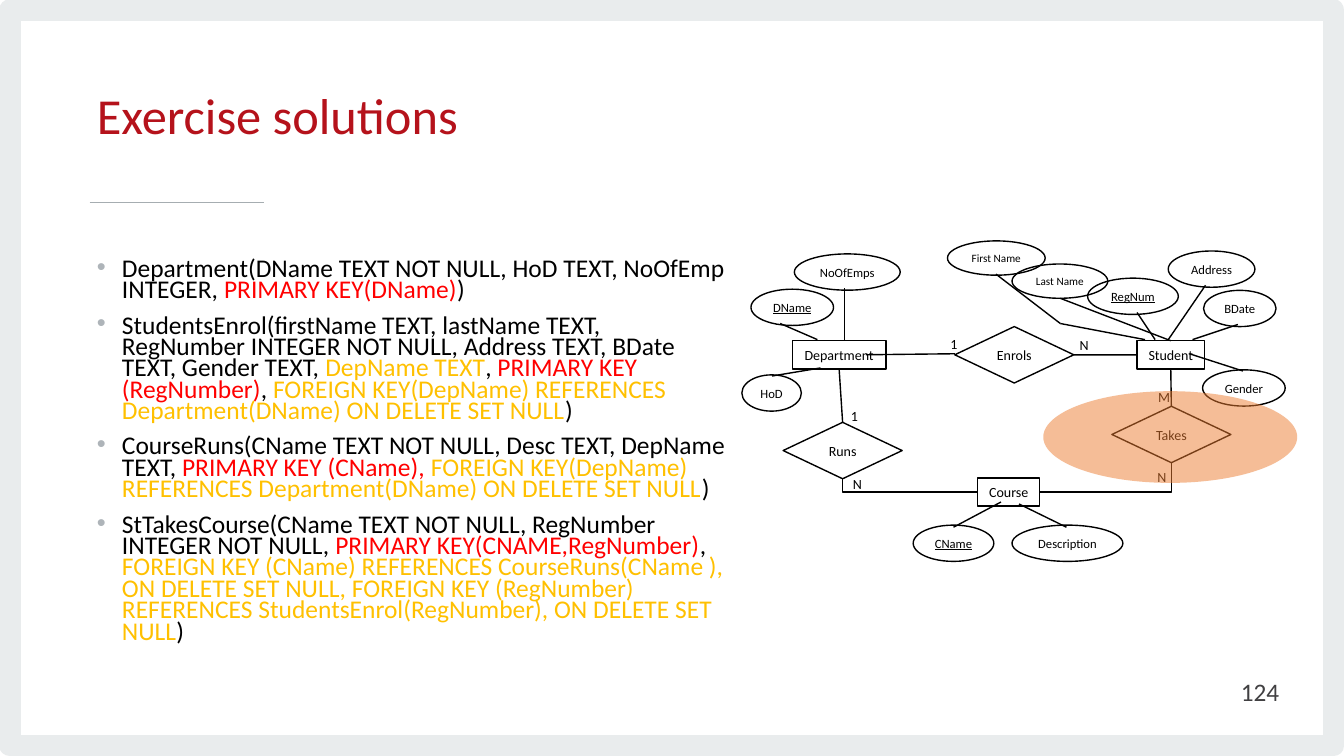
from lxml import etree
from pptx import Presentation
from pptx import util as u
from pptx.dml import color
from pptx.enum import shapes, text
from pptx.oxml import ns

Pt = u.Pt
BLACK, RED, GOLD = "000000", "FF0000", "FFC000"
SCHEMAS = [
    [("Department(DName TEXT NOT NULL, HoD TEXT, NoOfEmp INTEGER, ", BLACK),
     ("PRIMARY KEY(DName)", RED), (")", BLACK)],
    [("StudentsEnrol(firstName TEXT, lastName TEXT, RegNumber INTEGER NOT NULL, "
      "Address TEXT, BDate TEXT, Gender TEXT, ", BLACK),
     ("DepName TEXT", GOLD), (", ", BLACK), ("PRIMARY KEY (RegNumber)", RED), (", ", BLACK),
     ("FOREIGN KEY(DepName) REFERENCES Department(DName) ON DELETE SET NULL", GOLD),
     (")", BLACK)],
    [("CourseRuns(CName TEXT NOT NULL, Desc TEXT, DepName TEXT, ", BLACK),
     ("PRIMARY KEY (CName), ", RED),
     ("FOREIGN KEY(DepName) REFERENCES Department(DName) ON DELETE SET NULL", GOLD),
     (")", BLACK)],
    [("StTakesCourse(CName TEXT NOT NULL, RegNumber INTEGER NOT NULL, ", BLACK),
     ("PRIMARY KEY(CNAME,RegNumber)", RED), (", ", BLACK),
     ("FOREIGN KEY (CName) REFERENCES CourseRuns(CName ), ON DELETE SET NULL, "
      "FOREIGN KEY (RegNumber) REFERENCES StudentsEnrol(RegNumber), ON DELETE SET NULL", GOLD),
     (")", BLACK)],
]
ENTITIES = [("Course", 698.4, 341.3, 44.3), ("Department", 565.9, 243.4, 67),
            ("Student", 812.2, 243.4, 48.2)]
RELATIONS = [("Enrols", 682, 233.3), ("Runs", 559.4, 301.7), ("Takes", 794.2, 290.2)]
ATTRIBUTES = [("CName", 652.3, 375.1, 57.6, 9), ("Description", 722.9, 375.1, 79.2, 9),
              ("DName", 536.4, 206.6, 59, 9), ("HoD", 529.9, 267.8, 42.5, 9),
              ("NoOfEmps", 567.4, 181.4, 75.6, 9), ("First Name", 676.8, 172.1, 69.8, 8),
              ("Last Name", 722.9, 188.6, 68.4, 8), ("RegNum", 776.9, 198.7, 64.8, 9),
              ("Address", 834.5, 179.3, 61.9, 9), ("BDate", 859.7, 207.4, 51.8, 9),
              ("Gender", 859, 264.2, 59, 9)]
KEYS = {"CName", "DName", "RegNum"}
CARDINALITIES = [("1", 671, 235.4), ("N", 763.9, 236.2), ("1", 599.8, 287.3),
                 ("N", 601.9, 335.5), ("M", 820.1, 273.6), ("N", 819.4, 330.5)]
LINKS = [(618.5, 253.4, 682, 252.7), (681.1, 376.6, 715, 358.6), (727.9, 360, 761.8, 376.6),
         (557.3, 231.1, 583.9, 242.6), (603.4, 205.9, 603.4, 242.6),
         (551.5, 268.6, 586.1, 262.8), (757.4, 231.1, 711.4, 195.8),
         (757.4, 231.1, 817.9, 242.6), (812.2, 223.2, 825.1, 242.6),
         (861.1, 203.8, 834.5, 242.6), (884.2, 231.8, 851.8, 242.6),
         (887.8, 265, 849.6, 252.7)]


def rgb(value):
    """Turn a hex string into a colour."""
    return color.RGBColor.from_string(value)


def put(obj, **fmt):
    """Set attributes from format values."""
    for name, value in fmt.items():
        setattr(obj, name, value)


def add_run(p, words, size, hue=BLACK, underline=None):
    """Add a formatted run."""
    r = p.add_run()
    r.text = words
    put(r.font, name="Calibri", size=Pt(size), underline=underline)
    r.font.color.rgb = rgb(hue)


def stroke(sp, hue=BLACK, width=1):
    """Format a line."""
    sp.line.color.rgb = rgb(hue)
    sp.line.width = Pt(width)


def outline(s, kind, x, y, w, h, hue=BLACK, width=1):
    """Add an unfilled shape."""
    sp = s.shapes.add_shape(kind, Pt(x), Pt(y), Pt(w), Pt(h))
    sp.shadow.inherit = False
    sp.fill.background()
    stroke(sp, hue, width)
    return sp


def label(sp, words, size, underline=None, hue=BLACK, align=text.PP_ALIGN.CENTER):
    """Write one line of text in a shape."""
    tf = sp.text_frame
    put(tf, word_wrap=False, vertical_anchor=text.MSO_ANCHOR.MIDDLE,
        margin_top=Pt(3.6), margin_bottom=Pt(3.6))
    p = tf.paragraphs[0]
    p.alignment = align
    add_run(p, words, size, hue, underline)
    return sp


def text_box(s, words, x, y, w, h, size, **fmt):
    """Add a text box with one line."""
    return label(s.shapes.add_textbox(Pt(x), Pt(y), Pt(w), Pt(h)), words, size, **fmt)


def link(s, x1, y1, x2, y2, hue=BLACK, width=1):
    """Add a straight connector."""
    sp = s.shapes.add_connector(shapes.MSO_CONNECTOR.STRAIGHT, Pt(x1), Pt(y1), Pt(x2), Pt(y2))
    stroke(sp, hue, width)
    etree.SubElement(sp._element.spPr, ns.qn("a:effectLst"))
    return sp


def join(s, first, side, second, other_side):
    """Connect the sides of two shapes."""
    sp = link(s, 0, 0, 1, 1)
    sp.begin_connect(first, side)
    sp.end_connect(second, other_side)


def elbow(s, first, second, side):
    """Run a right-angled line from a diamond's foot to an entity's side."""
    x = first.left + first.width // 2
    y = second.top + second.height // 2
    end = second.left if side == 1 else second.left + second.width
    fb = s.shapes.build_freeform(x, first.top + first.height)
    fb.add_line_segments([(x, y), (end, y)], close=False)
    sp = fb.convert_to_shape()
    sp.shadow.inherit = False
    sp.fill.background()
    stroke(sp)


def title(s, words):
    """Fill the title placeholder."""
    sp = s.shapes.title
    put(sp, left=Pt(61.9), top=Pt(37.4), width=Pt(649.4), height=Pt(96.5))
    put(sp.text_frame, vertical_anchor=text.MSO_ANCHOR.MIDDLE, word_wrap=True,
        auto_size=text.MSO_AUTO_SIZE.NONE)
    p = sp.text_frame.paragraphs[0]
    put(p, alignment=text.PP_ALIGN.LEFT, line_spacing=Pt(34.7), space_before=Pt(7.5))
    add_run(p, words, 36, "B5121B")


def bullets(s, items):
    """Fill the body placeholder with a bulleted list."""
    sp = s.placeholders[1]
    put(sp, left=Pt(61.9), top=Pt(182.2), width=Pt(464.4), height=Pt(303.8))
    tf = sp.text_frame
    put(tf, word_wrap=True, auto_size=text.MSO_AUTO_SIZE.NONE)
    for i, item in enumerate(items):
        p = tf.add_paragraph() if i else tf.paragraphs[0]
        put(p, line_spacing=0.7, space_before=Pt(10))
        pPr = p._p.get_or_add_pPr()
        pPr.set("marL", str(Pt(18)))
        pPr.set("indent", str(-Pt(18)))
        hue = etree.SubElement(pPr, ns.qn("a:buClr"))
        etree.SubElement(hue, ns.qn("a:srgbClr"), val="AEB4B9")
        etree.SubElement(pPr, ns.qn("a:buFont"), typeface="Arial")
        etree.SubElement(pPr, ns.qn("a:buChar"), char="•")
        for words, run_hue in item:
            add_run(p, words, 18.2, run_hue)


def highlight(s, x, y, w, h):
    """Add a half-transparent ellipse."""
    sp = outline(s, shapes.MSO_SHAPE.OVAL, x, y, w, h)
    sp.line.fill.background()
    sp.fill.solid()
    sp.fill.fore_color.rgb = rgb("ED7D31")
    hue = sp._element.spPr.find(".//" + ns.qn("a:srgbClr"))
    etree.SubElement(hue, ns.qn("a:alpha"), val="50000")


def diagram(s):
    """Draw the entity-relationship diagram."""
    kinds = shapes.MSO_SHAPE
    node = {}
    for name, x, y, w in ENTITIES:
        node[name] = label(outline(s, kinds.RECTANGLE, x, y, w, 20.2), name, 10)
    for name, x, y in RELATIONS:
        node[name] = label(outline(s, kinds.DIAMOND, x, y, 85, 40.3), name, 10)
    for name, x, y, w, size in ATTRIBUTES:
        h = 24.5 if size == 8 else 25.9
        node[name] = label(outline(s, kinds.OVAL, x, y, w, h), name, size, name in KEYS or None)
    for words, x, y in CARDINALITIES:
        text_box(s, words, x, y, 20.9, 20.2, 10)
    for ends in LINKS:
        link(s, *ends)
    join(s, node["Enrols"], 3, node["Student"], 1)
    join(s, node["Department"], 2, node["Runs"], 0)
    join(s, node["Student"], 2, node["Takes"], 0)
    link(s, 757.4, 213.1, 836, 243.4).end_connect(node["Student"], 0)
    elbow(s, node["Runs"], node["Course"], 1)
    elbow(s, node["Takes"], node["Course"], 3)
    highlight(s, 745.2, 279.4, 181.4, 65.5)


def main():
    """Build and save the slide."""
    prs = Presentation()
    put(prs, slide_width=Pt(960), slide_height=Pt(540))
    s = prs.slides.add_slide(prs.slide_layouts[1])
    outline(s, shapes.MSO_SHAPE.RECTANGLE, 7.2, 7.2, 945.4, 525.6, "E9ECED", 15.11)
    link(s, 64.1, 144.7, 188.6, 144.7, "A6ADB1", 1.33)
    title(s, "Exercise solutions")
    bullets(s, SCHEMAS)
    text_box(s, "124", 704.9, 479.5, 216, 28.8, 18, hue="414042", align=text.PP_ALIGN.RIGHT).text_frame.word_wrap = True
    diagram(s)
    prs.save("out.pptx")


if __name__ == "__main__":
    main()
